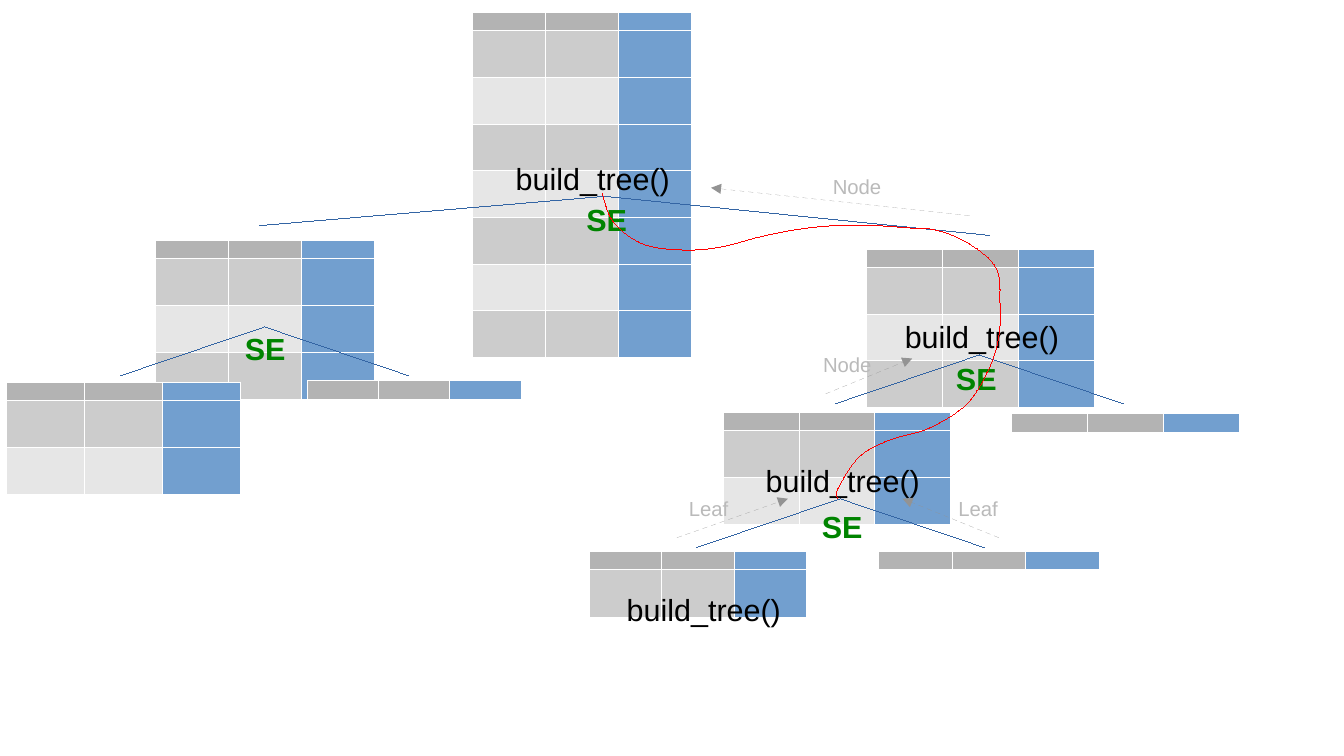
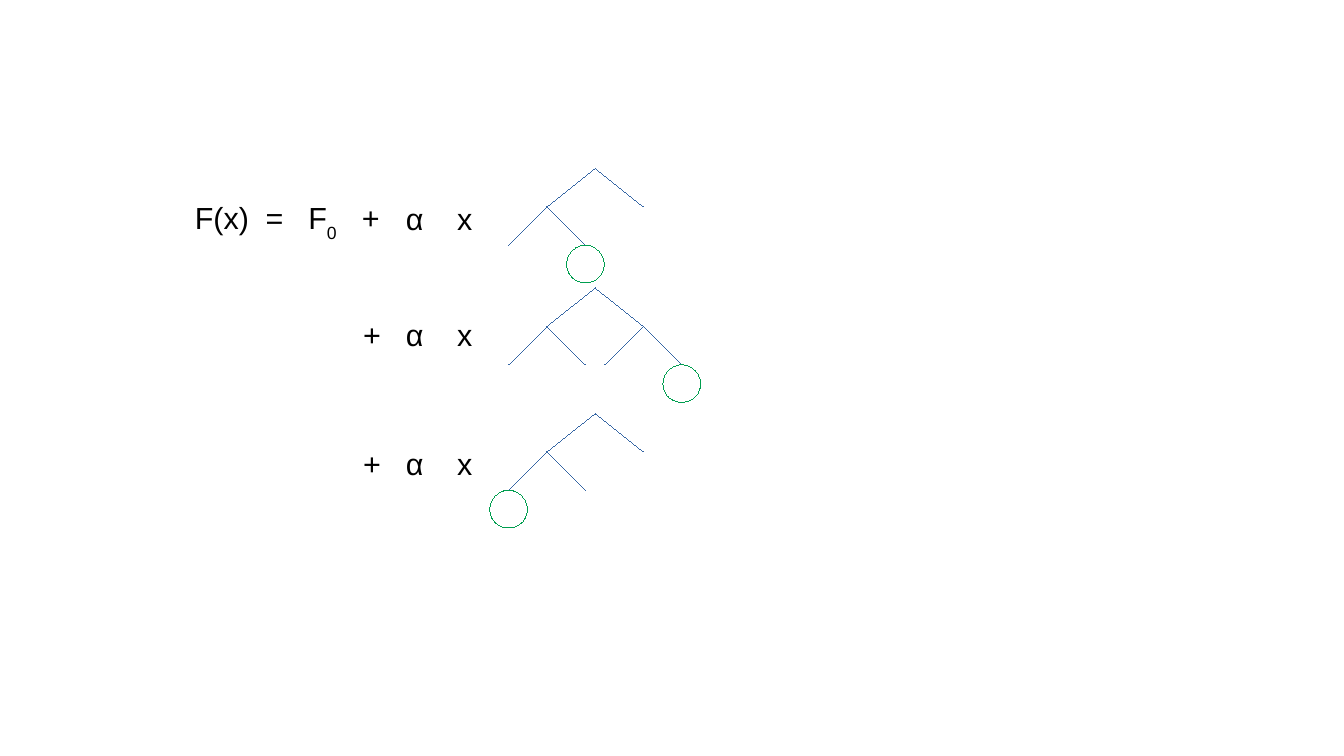
from collections import namedtuple

from lxml.etree import SubElement
from pptx import Presentation
from pptx.dml.color import RGBColor
from pptx.enum.dml import MSO_LINE
from pptx.enum.shapes import MSO_CONNECTOR, MSO_SHAPE
from pptx.enum.text import MSO_AUTO_SIZE
from pptx.oxml.ns import qn
from pptx.util import Inches, Pt

BLACK = RGBColor(0x00, 0x00, 0x00)
WHITE = RGBColor(0xFF, 0xFF, 0xFF)
HEADER_GRAY = RGBColor(0xB3, 0xB3, 0xB3)
DARK_GRAY = RGBColor(0xCC, 0xCC, 0xCC)
LIGHT_GRAY = RGBColor(0xE6, 0xE6, 0xE6)
TARGET_BLUE = RGBColor(0x72, 0x9F, 0xCF)
BRANCH_BLUE = RGBColor(0x34, 0x65, 0xA4)
RETURN_GRAY = RGBColor(0x93, 0x93, 0x93)
LABEL_GRAY = RGBColor(0xBA, 0xBA, 0xBA)
ERROR_GREEN = RGBColor(0x00, 0x84, 0x00)
LEAF_GREEN = RGBColor(0x00, 0x9E, 0x4F)
CALL_RED = RGBColor(0xFF, 0x00, 0x00)

FONT = "Arial"
HEADER_HEIGHT = 0.15

Label = namedtuple("Label", "text width height size color bold")
CALL = Label("build_tree()", 1.48, 0.38, 18, BLACK, False)
ERROR = Label("SE", 0.55, 0.38, 18, ERROR_GREEN, True)
LEAF = Label("Leaf", 0.54, 0.29, 12, LABEL_GRAY, False)
NODE = Label("Node", 0.62, 0.29, 12, LABEL_GRAY, False)

SAMPLES = [
    (3.87, 0.1, 1.8, 2.83, 7),
    (1.27, 1.97, 1.8, 1.3, 3),
    (0.05, 3.13, 1.92, 0.92, 2),
    (2.52, 3.12, 1.75, 0.15, 0),
    (7.1, 2.04, 1.87, 1.3, 3),
    (8.29, 3.39, 1.87, 0.15, 0),
    (7.2, 4.52, 1.81, 0.15, 0),
    (4.83, 4.52, 1.78, 0.54, 1),
    (5.93, 3.38, 1.86, 0.92, 2),
]
SPLITS = [(8.03, 2.91), (2.17, 2.68), (6.89, 4.09)]
CALL_LABELS = [
    (CALL, [(4.13, 1.26), (7.32, 2.56), (6.18, 3.74), (5.04, 4.8)]),
    (ERROR, [(4.71, 1.6), (7.74, 2.9), (6.64, 4.12), (1.91, 2.66)]),
]
RETURN_LABELS = [
    (LEAF, [(5.55, 4.02), (7.76, 4.02)]),
    (NODE, [(6.65, 2.84), (6.73, 1.38)]),
]
RETURNS = [
    ((5.55, 4.41), (6.46, 4.09)),
    ((8.19, 4.41), (7.4, 4.09)),
    ((6.77, 3.23), (7.48, 2.94)),
    ((7.95, 1.77), (5.83, 1.54)),
]
CALL_PATH = [
    (4.94, 1.59), (5.03, 1.82), (5.27, 2), (5.58, 2.05), (5.89, 2.03),
    (6.24, 1.94), (6.55, 1.88), (6.86, 1.85), (7.16, 1.85), (7.46, 1.87),
    (7.69, 1.89), (7.95, 2), (8.17, 2.2), (8.2, 2.49), (8.19, 2.76),
    (8.11, 3.02), (7.93, 3.31), (7.62, 3.51), (7.29, 3.61), (7.04, 3.75),
    (6.87, 4.01), (6.87, 4.09),
]


def set_hairline(shape, color):
    shape.line.color.rgb = color
    shape.line._get_or_add_ln().set("w", "0")


def add_line(page, start, end, color):
    line = page.shapes.add_connector(
        MSO_CONNECTOR.STRAIGHT, *(Inches(v) for v in (*start, *end)))
    set_hairline(line, color)
    SubElement(line._element.spPr, qn("a:effectLst"))
    return line


def add_fork(page, apex, half_width, drop):
    x, y = apex
    for side in (-1, 1):
        add_line(page, (x + side * half_width, y + drop), apex, BRANCH_BLUE)


def add_return_arrow(page, start, end):
    arrow = add_line(page, start, end, RETURN_GRAY)
    arrow.line.dash_style = MSO_LINE.DASH
    SubElement(arrow.line._get_or_add_ln(), qn("a:tailEnd"), type="triangle")


def add_text_box(page, left, top, width, height, wrap):
    box = page.shapes.add_textbox(
        Inches(left), Inches(top), Inches(width), Inches(height))
    box.text_frame.word_wrap = wrap
    box.text_frame.auto_size = MSO_AUTO_SIZE.SHAPE_TO_FIT_TEXT
    return box.text_frame.paragraphs[0]


def set_font(para, size, color, bold=False):
    para.font.name = FONT
    para.font.size = Pt(size)
    para.font.bold = bold
    para.font.color.rgb = color


def add_labels(page, groups):
    for label, places in groups:
        for left, top in places:
            para = add_text_box(page, left, top, label.width, label.height, False)
            para.add_run().text = label.text
            set_font(para, label.size, label.color, label.bold)


def style_cell(cell, color):
    cell.margin_left = cell.margin_right = 0
    cell.margin_top = cell.margin_bottom = 0
    properties = cell._tc.get_or_add_tcPr()
    for side in ("lnL", "lnR", "lnT", "lnB"):
        border = SubElement(properties, qn(f"a:{side}"), w="762")
        fill = SubElement(border, qn("a:solidFill"))
        SubElement(fill, qn("a:srgbClr"), val=str(WHITE))
    cell.fill.solid()
    cell.fill.fore_color.rgb = color
    para = cell.text_frame.paragraphs[0]
    para.font.size = Pt(6)
    para._p.get_or_add_endParaRPr().set("sz", "600")


def add_samples(page, left, top, width, height, body_rows):
    table = page.shapes.add_table(
        body_rows + 1, 3, Inches(left), Inches(top),
        Inches(width), Inches(height)).table
    for index, row in enumerate(table.rows):
        if index == 0:
            row.height, gray = Inches(HEADER_HEIGHT), HEADER_GRAY
        else:
            row.height = Inches((height - HEADER_HEIGHT) / body_rows)
            gray = DARK_GRAY if index % 2 else LIGHT_GRAY
        for cell, color in zip(row.cells, (gray, gray, TARGET_BLUE)):
            style_cell(cell, color)


def add_curve(page, points, color):
    first, *rest = [(Inches(x), Inches(y)) for x, y in points]
    builder = page.shapes.build_freeform(*first)
    builder.add_line_segments(rest, close=False)
    curve = builder.convert_to_shape()
    curve.shadow.inherit = False
    curve.fill.background()
    set_hairline(curve, color)

    knots = [(int(p.get("x")), int(p.get("y")))
             for p in curve._element.iter(qn("a:pt"))]
    padded = [knots[0], *knots, knots[-1]]
    segments = list(curve._element.iter(qn("a:lnTo")))
    for segment, before, start, end, after in zip(
            segments, padded, padded[1:], padded[2:], padded[3:]):
        bend_out = [s + (e - b) / 6 for b, s, e in zip(before, start, end)]
        bend_in = [e - (a - s) / 6 for s, e, a in zip(start, end, after)]
        bezier = segment.makeelement(qn("a:cubicBezTo"))
        for x, y in (bend_out, bend_in, end):
            SubElement(bezier, qn("a:pt"), x=str(round(x)), y=str(round(y)))
        segment.getparent().replace(segment, bezier)


def add_boosted_tree(page, left, top, width, height, right_splits, chosen):
    drop = leaf_half = height / 2
    root_half = width / 2 - leaf_half
    center = left + width / 2
    add_fork(page, (center, top), root_half, drop)
    for side in (-1, 1) if right_splits else (-1,):
        add_fork(page, (center + side * root_half, top + drop), leaf_half, drop)

    leaves = [center + node * root_half + leaf * leaf_half
              for node in (-1, 1) for leaf in (-1, 1)]
    diameter = 0.31
    circle = page.shapes.add_shape(
        MSO_SHAPE.OVAL, Inches(leaves[chosen] - diameter / 2),
        Inches(top + height), Inches(diameter), Inches(diameter))
    circle.shadow.inherit = False
    circle.fill.background()
    set_hairline(circle, LEAF_GREEN)


def add_terms(page, box, stops, spans):
    para = add_text_box(page, *box, True)
    for text, baseline in spans:
        span = para.add_run()
        span.text = text
        if baseline:
            span.font._element.set("baseline", str(baseline))
    tabs = SubElement(para._p.get_or_add_pPr(), qn("a:tabLst"))
    for stop in stops:
        SubElement(tabs, qn("a:tab"), pos=str(Inches(stop)), algn="l")
    set_font(para, 18, BLACK)


def build_recursion_slide(page):
    for sample in SAMPLES:
        add_samples(page, *sample)
    for foot in ((2.13, 1.85), (8.11, 1.93)):
        add_line(page, foot, (4.96, 1.61), BRANCH_BLUE)
    for apex in SPLITS:
        add_fork(page, apex, 1.18, 0.4)
    add_labels(page, CALL_LABELS)
    for start, end in RETURNS:
        add_return_arrow(page, start, end)
    add_curve(page, CALL_PATH, CALL_RED)
    add_labels(page, RETURN_LABELS)


def build_boosting_slide(page):
    for top, right_splits, chosen in (
            (1.38, False, 1), (2.36, True, 3), (3.39, False, 0)):
        add_boosted_tree(page, 4.17, top, 1.42, 0.63, right_splits, chosen)
    add_terms(page, (1.5, 1.58, 1.73, 0.44), (0.58, 0.93, 1.37),
              [("F(x)\t=\tF", 0), ("0", -33000), ("\t+", 0)])
    add_terms(page, (3.23, 1.59, 0.85, 0.38), (0.42,), [("α\tx", 0)])
    for top in (2.54, 3.6):
        add_terms(page, (2.6, top, 2.05, 0.66), (0.28, 0.63, 1.05),
                  [("\t+\tα\tx", 0)])


def main():
    deck = Presentation()
    deck.slide_width, deck.slide_height = Inches(11.02), Inches(6.2)
    for build in (build_recursion_slide, build_boosting_slide):
        build(deck.slides.add_slide(deck.slide_layouts[6]))
    deck.save("out.pptx")


if __name__ == "__main__":
    main()
